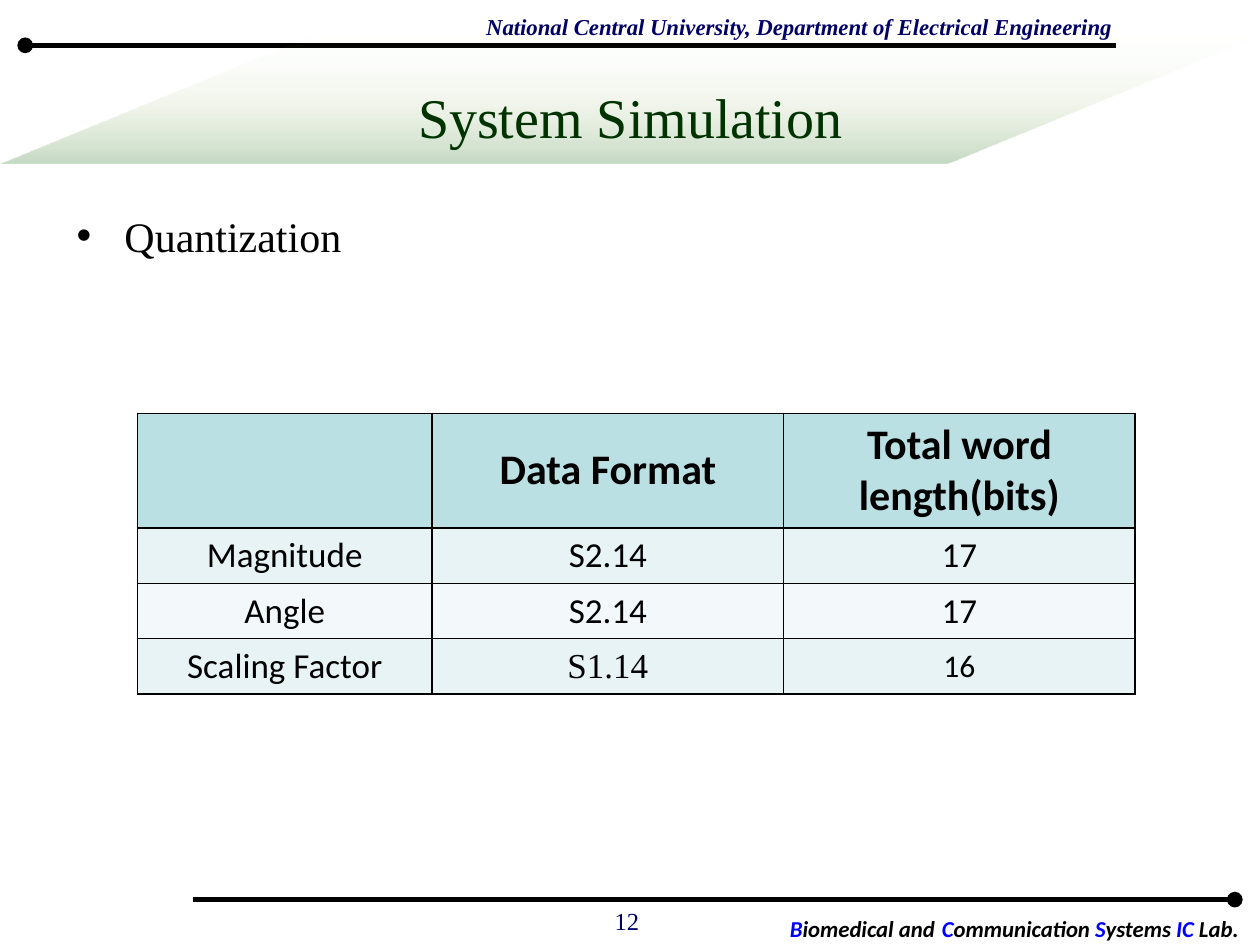
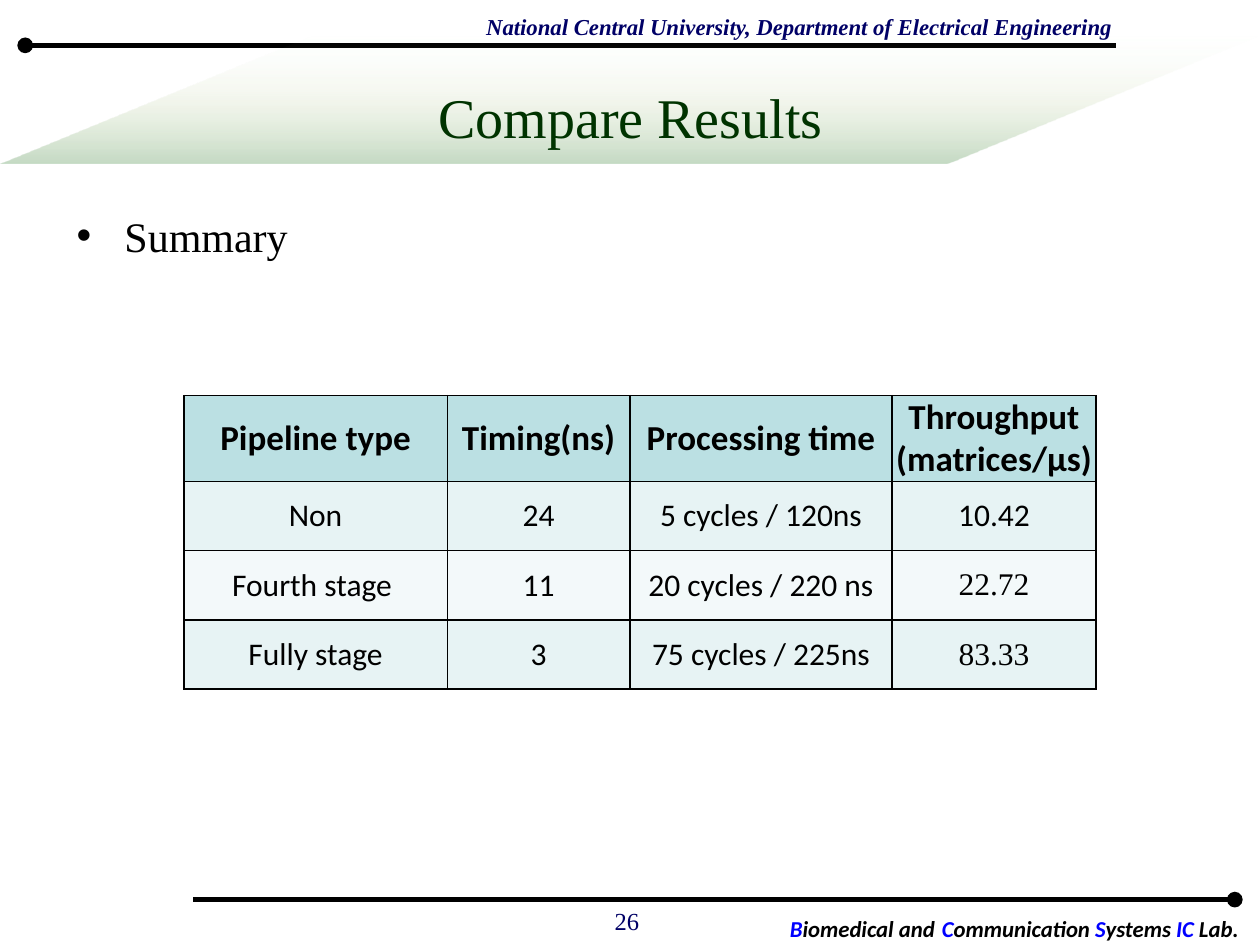
from lxml import etree
from pptx import Presentation
from pptx.dml.color import RGBColor
from pptx.enum.shapes import MSO_CONNECTOR, MSO_SHAPE
from pptx.enum.text import MSO_ANCHOR, PP_ALIGN
from pptx.oxml import parse_xml
from pptx.oxml.ns import nsdecls, qn
from pptx.util import Inches, Pt

SERIF, SANS = "Times New Roman", "Calibri"
BLACK, WHITE, NAVY, BLUE, GREEN = "000000", "FFFFFF", "000066", "0000FF", "003300"
HEADER_FILL, BAND_FILLS = "BBE0E3", ("E7F3F4", "F3F9FA")
BAND_STOPS = ((0, "DDEBCF", 0), (50, "9CB86E", 12), (100, "156B13", 25))
DEPARTMENT = "National Central University, Department of Electrical Engineering"
LAB_WORDS = (("B", "iomedical and"), ("C", "ommunication "), ("S", "ystems "), ("IC", " Lab."))


def rgb(color):
    return RGBColor.from_string(color)


class Deck:
    def __init__(self):
        self.prs = Presentation()
        self.prs.slide_width, self.prs.slide_height = Inches(10), Inches(7.5)
        self.s = None

    def run(self, p, text, size, font=SERIF, color=BLACK, bold=False, italic=False):
        r = p.add_run()
        r.text = text
        f = r.font
        f.size, f.name, f.bold, f.italic = Pt(size), font, bold, italic
        f.color.rgb = rgb(color)

    def text(self, box, text, size, color=BLACK, align=PP_ALIGN.LEFT,
             anchor=MSO_ANCHOR.TOP, wrap=True, **style):
        tf = self.s.shapes.add_textbox(*map(Inches, box)).text_frame
        tf.word_wrap, tf.vertical_anchor = wrap, anchor
        p = tf.paragraphs[0]
        p.alignment = align
        self.run(p, text, size, color=color, **style)
        return p

    def bullet(self, text):
        p = self.text((0.51, 1.62, 9, 5.2), text, 24)
        p.space_before = Pt(4.8)
        pPr = p._p.get_or_add_pPr()
        pPr.set("marL", str(Inches(0.38)))
        pPr.set("indent", str(-Inches(0.38)))
        etree.SubElement(pPr, qn("a:buFont"), typeface="Arial")
        etree.SubElement(pPr, qn("a:buChar"), char="•")

    def rule(self, x1, x2, y):
        line = self.s.shapes.add_connector(
            MSO_CONNECTOR.STRAIGHT, Inches(x1), Inches(y), Inches(x2), Inches(y))
        line.line.width = Pt(3)
        line.line.color.rgb = rgb(BLACK)
        spPr = line._element.spPr
        etree.SubElement(spPr.find(qn("a:ln")), qn("a:headEnd"), type="oval")
        etree.SubElement(spPr, qn("a:effectLst"))

    def shape(self, kind, box):
        sp = self.s.shapes.add_shape(kind, *map(Inches, box))
        sp.shadow.inherit = False
        sp.line.fill.background()
        return sp

    def title_band(self):
        sp = self.shape(MSO_SHAPE.PARALLELOGRAM, (0, 0.28, 10, 1.02))
        sp.adjustments[0] = 2.44
        stops = "".join(
            f'<a:gs pos="{pos * 1000}"><a:srgbClr val="{color}">'
            f'<a:alpha val="{alpha * 1000}"/></a:srgbClr></a:gs>'
            for pos, color, alpha in BAND_STOPS)
        sp._element.spPr.find(qn("a:prstGeom")).addnext(parse_xml(
            f'<a:gradFill {nsdecls("a")} rotWithShape="1"><a:gsLst>{stops}</a:gsLst>'
            '<a:lin ang="5400000" scaled="0"/></a:gradFill>'))

    def lab_footer(self):
        sp = self.shape(MSO_SHAPE.RECTANGLE, (6.1, 7.14, 3.9, 0.32))
        sp.fill.solid()
        sp.fill.fore_color.rgb = rgb(WHITE)
        tf = sp.text_frame
        tf.word_wrap, tf.vertical_anchor = True, MSO_ANCHOR.TOP
        p = tf.paragraphs[0]
        p.alignment = PP_ALIGN.CENTER
        for i, (initial, rest) in enumerate(LAB_WORDS):
            self.run(p, initial, 13, SANS, BLUE, True, True)
            self.run(p, rest, 13, SANS, BLACK, True, True)
            if i == 0:
                self.run(p, " ", 18, SANS)

    def slide(self, title, topic, number):
        self.s = self.prs.slides.add_slide(self.prs.slide_layouts[6])
        self.rule(0.2, 8.86, 0.36)
        self.text((3.76, 0.05, 5.18, 0.32), DEPARTMENT, 13, NAVY,
                  wrap=False, bold=True, italic=True)
        self.title_band()
        self.lab_footer()
        self.rule(9.8, 1.53, 7.14)
        self.text((0.51, 0.3, 8.99, 1.25), title, 32, GREEN,
                  PP_ALIGN.CENTER, MSO_ANCHOR.MIDDLE)
        self.bullet(topic)
        self.text((3.82, 7.14, 1.35, 0.36), number, 14, NAVY, PP_ALIGN.RIGHT)

    def cell(self, cell, text, fill, size, font, bold):
        cell.fill.solid()
        cell.fill.fore_color.rgb = rgb(fill)
        cell.vertical_anchor = MSO_ANCHOR.MIDDLE
        tcPr = cell._tc.get_or_add_tcPr()
        for i, side in enumerate(("lnL", "lnR", "lnT", "lnB")):
            tcPr.insert(i, parse_xml(
                f'<a:{side} {nsdecls("a")} w="{Pt(1)}"><a:solidFill>'
                f'<a:srgbClr val="{BLACK}"/></a:solidFill></a:{side}>'))
        tf = cell.text_frame
        for i, line in enumerate(text.split("\n") if text else []):
            p = tf.paragraphs[0] if i == 0 else tf.add_paragraph()
            p.alignment = PP_ALIGN.CENTER
            self.run(p, line, size, font, bold=bold)

    def table(self, left, top, widths, heights, rows, head_size, body_size,
              special=None, tight_col=None):
        special = special or {}
        box = map(Inches, (left, top, sum(widths), sum(heights)))
        tbl = self.s.shapes.add_table(len(rows), len(widths), *box).table
        tbl.first_row = tbl.horz_banding = False
        for col, width in zip(tbl.columns, widths):
            col.width = Inches(width)
        for i, (row, height) in enumerate(zip(rows, heights)):
            tbl.rows[i].height = Inches(height)
            fill = BAND_FILLS[(i - 1) % 2] if i else HEADER_FILL
            for j, text in enumerate(row):
                size, font = special.get((i, j), (body_size if i else head_size, SANS))
                cell = tbl.cell(i, j)
                if j == tight_col:
                    cell.margin_left = cell.margin_right = 0
                    cell.margin_top = cell.margin_bottom = 0
                self.cell(cell, text, fill, size, font, i == 0)


def main():
    deck = Deck()
    deck.slide("System Simulation", "Quantization", "12")
    deck.table(1.09, 3.28, (2.34, 2.79, 2.79), (0.91, 0.44, 0.44, 0.44), (
        ("", "Data Format", "Total word length(bits)"),
        ("Magnitude", "S2.14", "17"),
        ("Angle", "S2.14", "17"),
        ("Scaling Factor", "S1.14", "16"),
    ), 24, 20, special={(3, 1): (20, SERIF), (3, 2): (18, SANS)})

    deck.slide("Compare Results", "Summary", "26")
    deck.table(1.46, 3.14, (2.09, 1.45, 2.08, 1.62), (0.68, 0.55, 0.55, 0.55), (
        ("Pipeline type", "Timing(ns)", "Processing time", "Throughput\n(matrices/µs)"),
        ("Non", "24", "5 cycles / 120ns", "10.42"),
        ("Fourth stage ", "11", "20 cycles / 220 ns", "22.72"),
        ("Fully stage", "3", "75 cycles / 225ns", "83.33"),
    ), 20, 18, special={(2, 3): (18, SERIF), (3, 3): (18, SERIF)}, tight_col=3)
    deck.prs.save("out.pptx")


if __name__ == "__main__":
    main()
